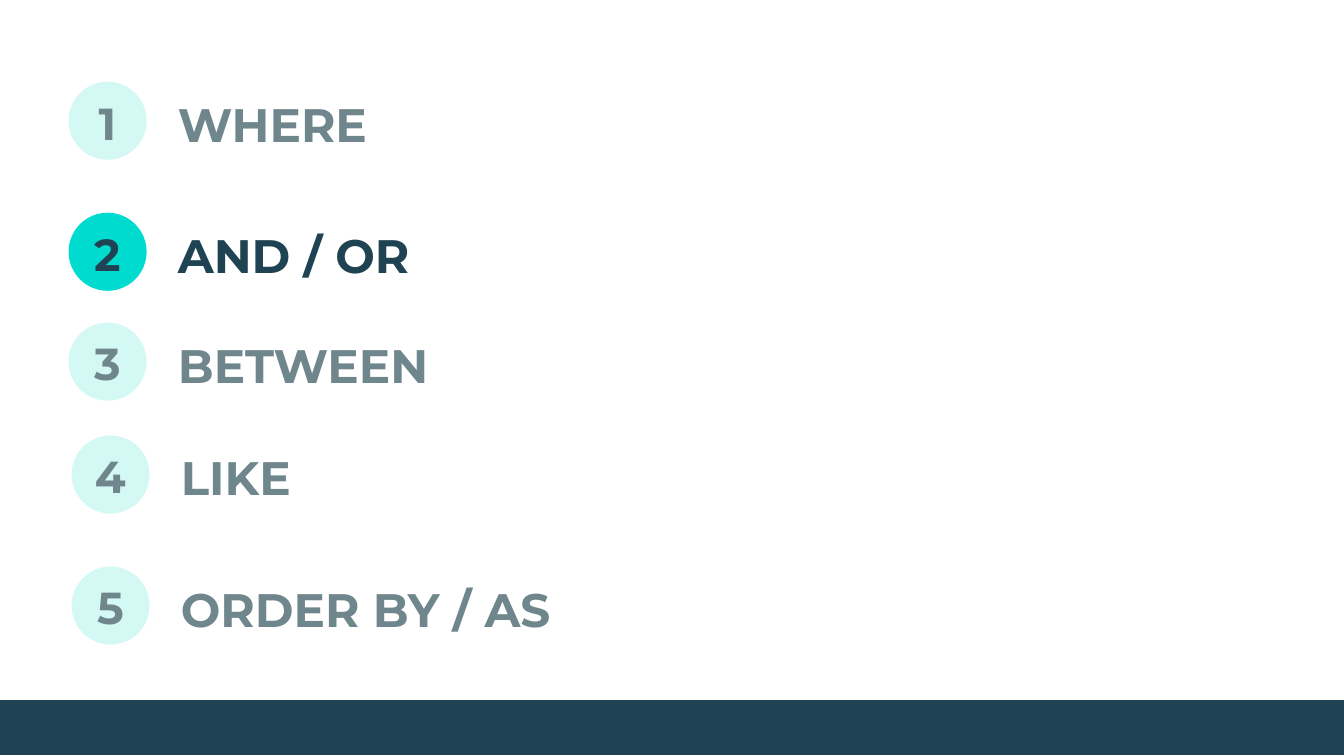
from pptx import Presentation
from pptx.dml.color import RGBColor
from pptx.enum.shapes import MSO_SHAPE
from pptx.enum.text import MSO_ANCHOR, PP_ALIGN
from pptx.util import Inches, Pt

OVAL, RECT = MSO_SHAPE.OVAL, MSO_SHAPE.RECTANGLE
LEFT, CENTER, TOP = PP_ALIGN.LEFT, PP_ALIGN.CENTER, MSO_ANCHOR.TOP
NAVY = RGBColor(0x1F, 0x43, 0x52)
GREY = RGBColor(0x6F, 0x87, 0x8C)
TEAL = RGBColor(0x00, 0xDB, 0xD0)
MINT = RGBColor(0xD4, 0xF9, 0xF4)
FONT = "Montserrat"
WIDTH, HEIGHT = 26.67, 15
DISC = 1.55
ACTIVE = 2
TOPICS = [
    ("WHERE", 1.36, 1.62),
    ("AND / OR", 1.36, 4.22),
    ("BETWEEN", 1.36, 6.4),
    ("LIKE", 1.42, 8.64),
    ("ORDER BY / AS", 1.42, 11.24),
]


def add_solid(slide, kind, box, color):
    """Place a filled shape without a line or shadow."""
    shape = slide.shapes.add_shape(kind, *map(Inches, box))
    shape.shadow.inherit = False
    shape.fill.solid()
    shape.fill.fore_color.rgb = color
    shape.line.fill.background()


def add_label(slide, text, box, size, color, align):
    """Place one line of bold text in a box."""
    frame = slide.shapes.add_textbox(*map(Inches, box)).text_frame
    frame.word_wrap = True
    frame.vertical_anchor = TOP
    frame.margin_left = frame.margin_right = Inches(0.27)
    frame.margin_top = frame.margin_bottom = Inches(0.27)
    line = frame.paragraphs[0]
    line.text = text
    line.alignment = align
    line.font.name = FONT
    line.font.size = Pt(size)
    line.font.bold = True
    line.font.color.rgb = color


def add_topic(slide, number, title, left, top):
    """Place a numbered disc with its title, lit up when active."""
    fill, ink = (TEAL, NAVY) if number == ACTIVE else (MINT, GREY)
    add_solid(slide, OVAL, (left, top, DISC, DISC), fill)
    add_label(slide, title, (left + 1.9, top, 18.95, DISC), 67, ink, LEFT)
    add_label(slide, str(number), (left - 0.07, top, 1.68, 1.09), 64, ink, CENTER)


def build_agenda(deck):
    """Add the agenda slide with its topics and footer bar."""
    slide = deck.slides.add_slide(deck.slide_layouts[6])
    add_solid(slide, RECT, (0, 13.89, WIDTH, 1.09), NAVY)
    for number, (title, left, top) in enumerate(TOPICS, 1):
        add_topic(slide, number, title, left, top)


deck = Presentation()
deck.slide_width = Inches(WIDTH)
deck.slide_height = Inches(HEIGHT)
build_agenda(deck)
deck.save("out.pptx")
